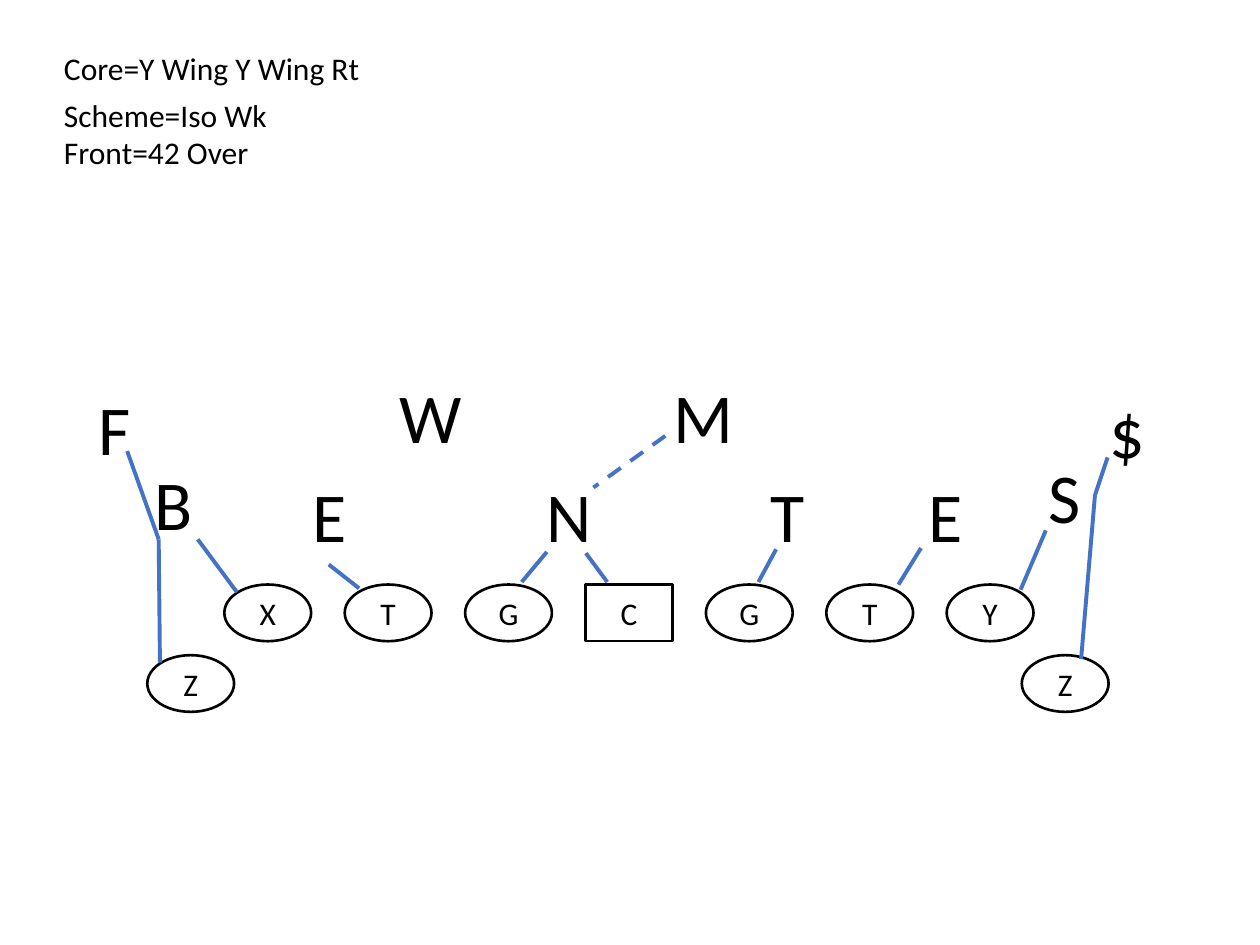
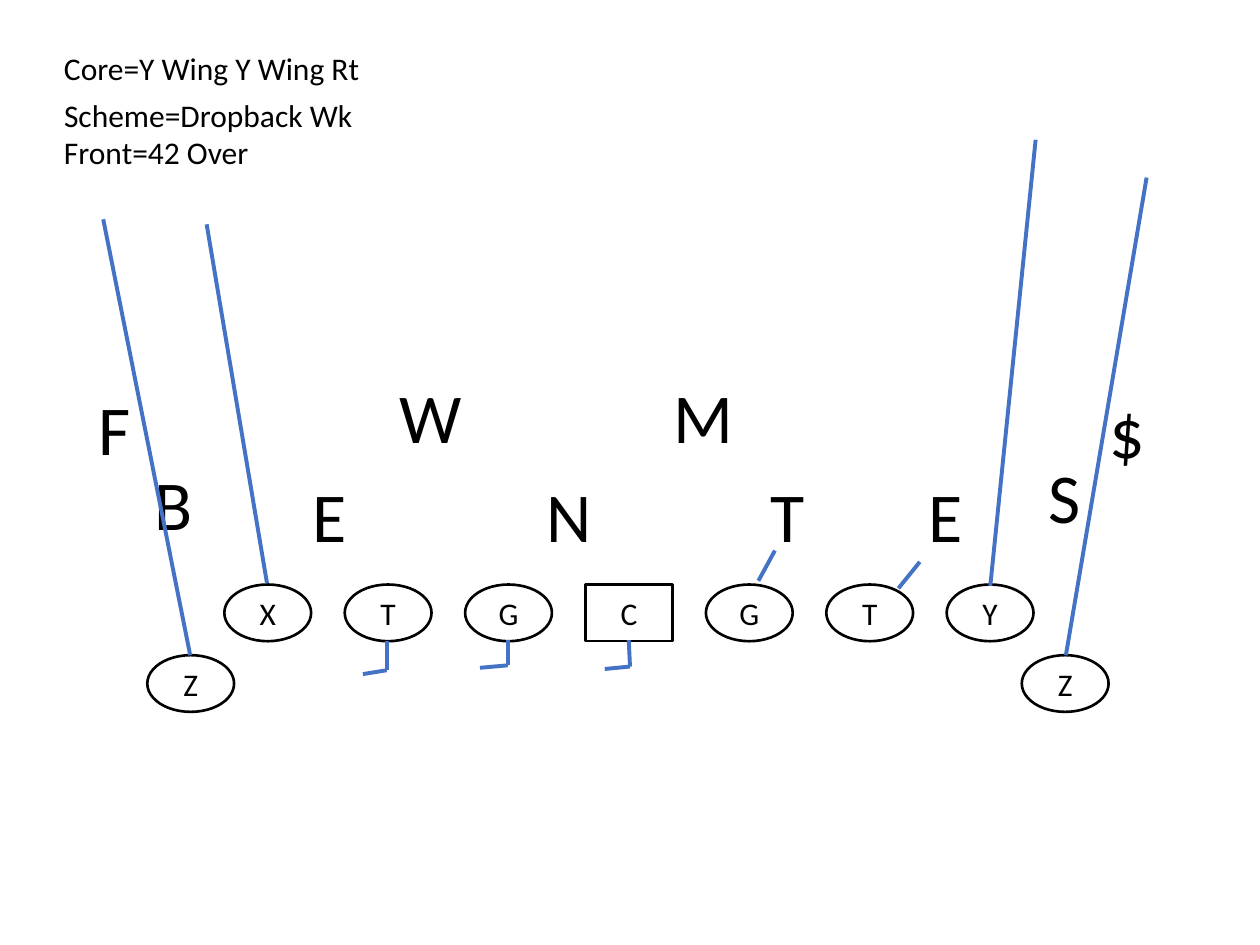
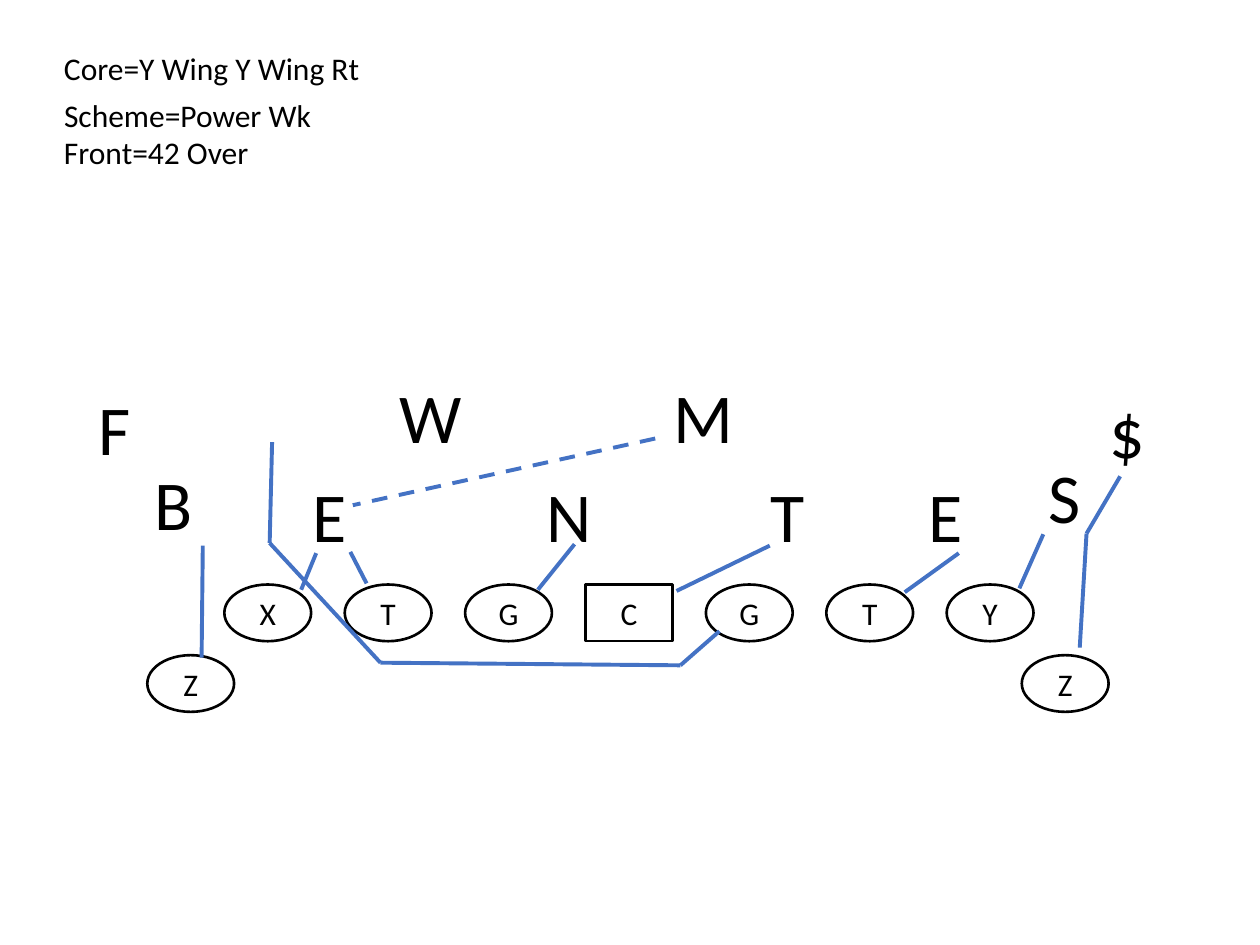
from lxml.etree import SubElement
from pptx import Presentation
from pptx.dml.color import RGBColor
from pptx.enum.dml import MSO_LINE
from pptx.enum.shapes import MSO_CONNECTOR, MSO_SHAPE
from pptx.enum.text import MSO_ANCHOR, MSO_AUTO_SIZE, PP_ALIGN
from pptx.oxml.ns import qn
from pptx.util import Pt

BLACK = RGBColor(0x00, 0x00, 0x00)
WHITE = RGBColor(0xFF, 0xFF, 0xFF)
BLUE = RGBColor(0x44, 0x72, 0xC4)
FONT = "Calibri"

# Offense: seven linemen at an equal pitch, two wings behind them
LINE_LEFT, LINE_TOP, PITCH = 128.2, 334, 68.8
PLAYER_W, PLAYER_H = 49.6, 32.4
offense = [(label, LINE_LEFT + i * PITCH, LINE_TOP) for i, label in enumerate("XTGCGTY")]
offense += [("Z", 84.2, 374.4), ("Z", 583.9, 374.4)]

# Defense: label, left, top, width
FRONT_TOP, BACKER_TOP = 266.4, 210.2
defense = [
    ("E", 171.4, FRONT_TOP, 34.6), ("N", 305.3, FRONT_TOP, 40.3),
    ("T", 433.4, FRONT_TOP, 34.6), ("E", 523.4, FRONT_TOP, 34.6),
    ("W", 221, BACKER_TOP, 50.4), ("M", 378, BACKER_TOP, 50.4),
    ("B", 81.4, 259.9, 36.7), ("S", 591.8, 255.6, 34.6),
    ("F", 49, 216.7, 25.2), ("$", 627.1, 218.2, 28.1),
]

# Plays: scheme, width of its label, solid routes, dashed routes
plays = [
    ("Iso Wk", 131.8, [
        [(187.9, 322.6), (205.2, 336.2)],
        [(312.5, 315.4), (298.1, 332.6)],
        [(334.8, 316.1), (347, 332.6)],
        [(443.5, 313.9), (433.4, 332.6)],
        [(526.3, 313.2), (513.4, 334.1)],
        [(597.6, 303.1), (583.2, 337)],
        [(617.8, 376.6), (625.7, 283), (632.9, 261.4)],
        [(135.4, 338.4), (113, 308.2)],
        [(91.4, 378.7), (90.7, 308.2), (72.7, 257.8)],
    ], [
        [(380.2, 249.1), (339.1, 278.6)],
    ]),
    ("Dropback Wk", 181.4, [
        [(525.6, 321.1), (513.4, 336.2)],
        [(442.8, 314.6), (433.4, 331.9)],
        [(359.3, 365.8), (360, 380.9), (345.6, 382.3)],
        [(290.2, 365.8), (290.2, 380.2), (274.3, 381.6)],
        [(221, 366.5), (221, 383), (207.4, 385.2)],
        [(565.9, 334.8), (591.8, 79.9)],
        [(609.1, 374.4), (655.2, 101.5)],
        [(152.6, 333.4), (118.1, 128.2)],
        [(108.7, 374.4), (59, 125.3)],
    ], []),
    ("Power Wk", 157, [
        [(596.2, 305.3), (582.5, 336.2)],
        [(617, 370.1), (620.9, 304.9), (640.1, 272.2)],
        [(547.9, 316.1), (517, 338.4)],
        [(439.9, 311.8), (386.6, 337.7)],
        [(328.3, 311), (307.4, 337)],
        [(180.7, 316.1), (172.1, 337)],
        [(115.9, 311.8), (115.2, 375.8)],
        [(200.2, 315.4), (209.5, 333.4)],
        [(411.1, 360.7), (388.8, 380.2), (217.4, 378.7), (154.1, 310.3), (155.5, 252.7)],
    ], [
        [(374.4, 250.6), (201.6, 288.7)],
    ]),
]


def write(sp, text, size=18, align=PP_ALIGN.LEFT, anchor=MSO_ANCHOR.TOP,
          wrap=False, grow=True):
    tf = sp.text_frame
    tf.word_wrap = wrap
    tf.vertical_anchor = anchor
    tf.auto_size = MSO_AUTO_SIZE.SHAPE_TO_FIT_TEXT if grow else MSO_AUTO_SIZE.NONE
    p = tf.paragraphs[0]
    p.alignment = align
    r = p.add_run()
    r.text = text
    r.font.name = FONT
    r.font.size = Pt(size)
    r.font.color.rgb = BLACK


def draw_route(s, points, dashed=False):
    for (x1, y1), (x2, y2) in zip(points, points[1:]):
        line = s.shapes.add_connector(MSO_CONNECTOR.STRAIGHT, Pt(x1), Pt(y1), Pt(x2), Pt(y2))
        line.line.color.rgb = BLUE
        line.line.width = Pt(2.25)
        if dashed:
            line.line.dash_style = MSO_LINE.DASH
        SubElement(line._element.spPr, qn("a:effectLst"))


prs = Presentation()
prs.slide_width, prs.slide_height = Pt(720), Pt(540)

for scheme, scheme_width, solid_routes, dashed_routes in plays:
    s = prs.slides.add_slide(prs.slide_layouts[6])

    # Call: core, scheme and front
    for text, top, width in [("Core=Y Wing Y Wing Rt", 24.5, 185),
                             (f"Scheme={scheme}", 51.1, scheme_width),
                             ("Front=42 Over", 72.7, 125.3)]:
        write(s.shapes.add_textbox(Pt(29.5), Pt(top), Pt(width), Pt(28.8)), text)

    # Offensive players, with the center as a box
    for label, left, top in offense:
        outline = MSO_SHAPE.RECTANGLE if label == "C" else MSO_SHAPE.OVAL
        sp = s.shapes.add_shape(outline, Pt(left), Pt(top), Pt(PLAYER_W), Pt(PLAYER_H))
        sp.shadow.inherit = False
        sp.fill.solid()
        sp.fill.fore_color.rgb = WHITE
        sp.line.color.rgb = BLACK
        sp.line.width = Pt(1.5)
        write(sp, label, align=PP_ALIGN.CENTER, anchor=MSO_ANCHOR.MIDDLE,
              wrap=True, grow=False)

    # Defensive players; the two safeties sit in narrow wrapped boxes
    for label, left, top, width in defense:
        sp = s.shapes.add_textbox(Pt(left), Pt(top), Pt(width), Pt(55.4))
        write(sp, label, size=40, wrap=label in "F$")

    # Blocks and routes
    for points in solid_routes:
        draw_route(s, points)
    for points in dashed_routes:
        draw_route(s, points, dashed=True)

prs.save("out.pptx")
